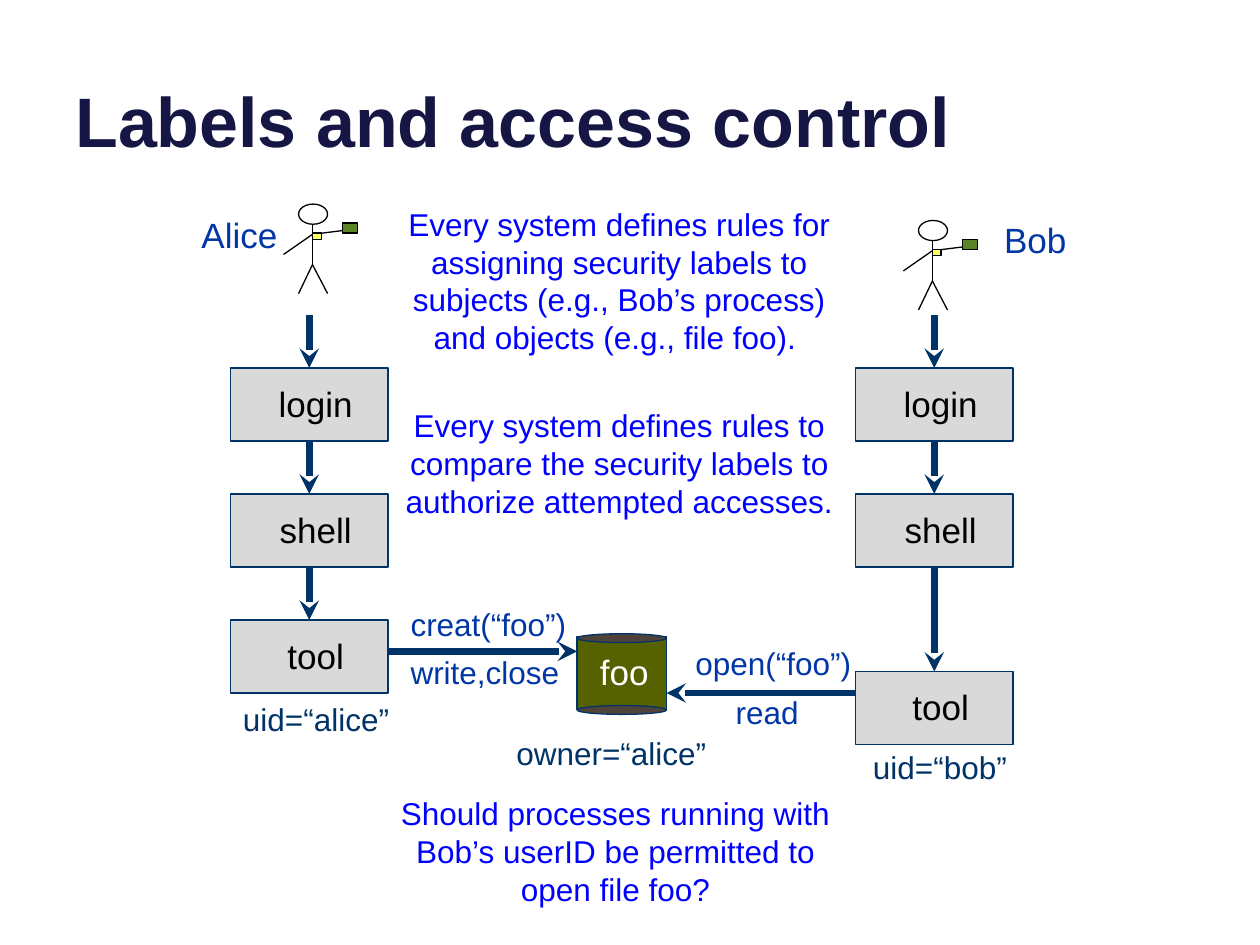
from lxml import etree
from pptx import Presentation
from pptx.dml.color import RGBColor
from pptx.enum.shapes import MSO_CONNECTOR, MSO_SHAPE
from pptx.enum.text import MSO_ANCHOR, MSO_AUTO_SIZE, PP_ALIGN
from pptx.oxml.ns import qn
from pptx.util import Inches, Pt

RECTANGLE, ELLIPSE = MSO_SHAPE.RECTANGLE, MSO_SHAPE.OVAL
STRAIGHT = MSO_CONNECTOR.STRAIGHT
TOP, MIDDLE, BOTTOM = MSO_ANCHOR.TOP, MSO_ANCHOR.MIDDLE, MSO_ANCHOR.BOTTOM
LEFT, CENTER = PP_ALIGN.LEFT, PP_ALIGN.CENTER
GROW, FIXED = MSO_AUTO_SIZE.SHAPE_TO_FIT_TEXT, MSO_AUTO_SIZE.NONE
TOP_SIDE, BOTTOM_SIDE = 0, 2

BLACK = RGBColor(0x00, 0x00, 0x00)
WHITE = RGBColor(0xFF, 0xFF, 0xFF)
TITLE_NAVY = RGBColor(0x16, 0x16, 0x45)
NAVY = RGBColor(0x00, 0x33, 0x67)
CALL_BLUE = RGBColor(0x00, 0x36, 0xA6)
RULE_BLUE = RGBColor(0x00, 0x00, 0xFF)
GRAY = RGBColor(0xD9, 0xD9, 0xD9)
OLIVE = RGBColor(0x56, 0x62, 0x00)
BROWN = RGBColor(0x4E, 0x43, 0x39)
GREEN = RGBColor(0x5C, 0x85, 0x26)
YELLOW = RGBColor(0xFF, 0xFF, 0x66)

BOX_WIDTH, BOX_HEIGHT = 1.25, 0.58


def write(frame, text, size=18, color=CALL_BLUE, bold=False, align=LEFT,
          anchor=TOP, spacing=None, auto_size=GROW):
    """Put one formatted paragraph into a text frame."""
    frame.word_wrap = True
    frame.auto_size = auto_size
    frame.vertical_anchor = anchor
    paragraph = frame.paragraphs[0]
    paragraph.alignment = align
    paragraph.line_spacing = spacing
    run = paragraph.add_run()
    run.text = text
    run.font.name = "Arial"
    run.font.size = Pt(size)
    run.font.bold = bold
    run.font.color.rgb = color


class Diagram:
    """Draws the access control diagram on one slide."""

    def __init__(self, slide):
        self.slide = slide

    def text(self, left, top, width, height, text, **style):
        box = self.slide.shapes.add_textbox(
            Inches(left), Inches(top), Inches(width), Inches(height))
        write(box.text_frame, text, **style)

    def note(self, left, top, width, text, height=0.37, **style):
        self.text(left, top, width, height, text, spacing=0.85, **style)

    def rule(self, left, top, height, text):
        self.text(left, top, 3.67, height, text, color=RULE_BLUE,
                  align=CENTER, anchor=MIDDLE)

    def shape(self, kind, left, top, width, height, fill=None, line=NAVY, parent=None):
        shape = (parent or self.slide).shapes.add_shape(
            kind, Inches(left), Inches(top), Inches(width), Inches(height))
        shape.shadow.inherit = False
        if fill is None:
            shape.fill.background()
        else:
            shape.fill.solid()
            shape.fill.fore_color.rgb = fill
        shape.line.color.rgb = line
        shape.line.width = Pt(0.75)
        return shape

    def line(self, start, end, color=BLACK, width=0.75, parent=None):
        points = [Inches(value) for value in (*start, *end)]
        connector = (parent or self.slide).shapes.add_connector(STRAIGHT, *points)
        connector.line.color.rgb = color
        connector.line.width = Pt(width)
        etree.SubElement(connector._element.spPr, qn("a:effectLst"))
        return connector

    def arrow(self, start, end, source=None, target=None):
        connector = self.line(start, end, NAVY, 3.75)
        stroke = connector.line._get_or_add_ln()
        etree.SubElement(stroke, qn("a:tailEnd"), type="stealth")
        if source is not None:
            connector.begin_connect(source, BOTTOM_SIDE)
        if target is not None:
            connector.end_connect(target, TOP_SIDE)

    def process_chain(self, left, tops):
        center = left + BOX_WIDTH / 2
        previous, bottom = None, 2.5
        for name, top in zip(("login", "shell", "tool"), tops):
            process = self.shape(RECTANGLE, left, top, BOX_WIDTH, BOX_HEIGHT, GRAY)
            self.text(left + 0.05, top + 0.06, BOX_WIDTH, 0.44, name, size=20,
                      color=BLACK, align=CENTER, anchor=MIDDLE)
            self.arrow((center, bottom), (center, top), previous, process)
            previous, bottom = process, top + BOX_HEIGHT

    def file_cylinder(self, left, top, width, name):
        self.shape(RECTANGLE, left, top, width, BOX_HEIGHT, OLIVE)
        self.text(left + 0.04, top + 0.06, width - 0.04, 0.44, name, size=20,
                  color=WHITE, align=CENTER, anchor=MIDDLE)
        for rim_top in (top - 0.02, top + 0.55):
            self.shape(ELLIPSE, left, rim_top, width, 0.07, BROWN)

    def person(self, x, y):
        figure = self.slide.shapes.add_group_shape()
        hip, shoulder = (x, y + 0.32), (x, y + 0.08)
        limbs = (((x, y), hip),
                 ((x - 0.11, y + 0.55), hip),
                 ((x + 0.12, y + 0.55), hip),
                 ((x + 0.32, y + 0.04), shoulder),
                 ((x - 0.23, y + 0.24), shoulder))
        for start, end in limbs:
            self.line(start, end, parent=figure)
        self.shape(ELLIPSE, x - 0.11, y - 0.16, 0.23, 0.16, None, BLACK, figure)
        self.shape(RECTANGLE, x + 0.24, y - 0.01, 0.12, 0.08, GREEN, BLACK, figure)
        self.shape(RECTANGLE, x, y + 0.07, 0.07, 0.05, YELLOW, BLACK, figure)


def main():
    presentation = Presentation()
    presentation.slide_width = Inches(10)
    presentation.slide_height = Inches(7.5)
    diagram = Diagram(presentation.slides.add_slide(presentation.slide_layouts[6]))

    diagram.text(0.5, -0.37, 9, 1.7, "Labels and access control", size=40,
                 color=TITLE_NAVY, bold=True, anchor=BOTTOM, auto_size=FIXED)

    diagram.process_chain(1.83, (2.92, 3.92, 4.92))
    diagram.process_chain(6.79, (2.92, 3.92, 5.33))
    diagram.file_cylinder(4.58, 5.05, 0.71, "foo")
    diagram.arrow((3.08, 5.17), (4.58, 5.17))
    diagram.arrow((6.79, 5.5), (5.29, 5.5))

    for left, top, call in ((3.16, 4.8, "creat(“foo”)"),
                            (3.16, 5.18, "write,close"),
                            (5.42, 5.11, "open(“foo”)"),
                            (5.74, 5.5, "read")):
        diagram.note(left, top, 1.59, call)
    for left, top, label in ((4, 5.82, "owner=“alice”"),
                             (1.83, 5.55, "uid=“alice”"),
                             (6.83, 5.93, "uid=“bob”")):
        diagram.note(left, top, 1.83, label, color=NAVY)

    diagram.person(2.48, 1.78)
    diagram.person(7.4, 1.91)
    diagram.note(1.5, 1.7, 0.92, "Alice", height=0.4, size=20)
    diagram.note(7.87, 1.74, 0.92, "Bob", height=0.4, size=20)

    diagram.rule(3.08, 1.57, 1.31,
                 "Every system defines rules for assigning security labels to "
                 "subjects (e.g., Bob’s process) and objects (e.g., file foo). ")
    diagram.rule(3.08, 3.17, 1.01,
                 "Every system defines rules to compare the security labels to "
                 "authorize attempted accesses.")
    diagram.rule(3.05, 6.25, 1.01,
                 "Should processes running with Bob’s userID be permitted to "
                 "open file foo?")

    presentation.save("out.pptx")


if __name__ == "__main__":
    main()
